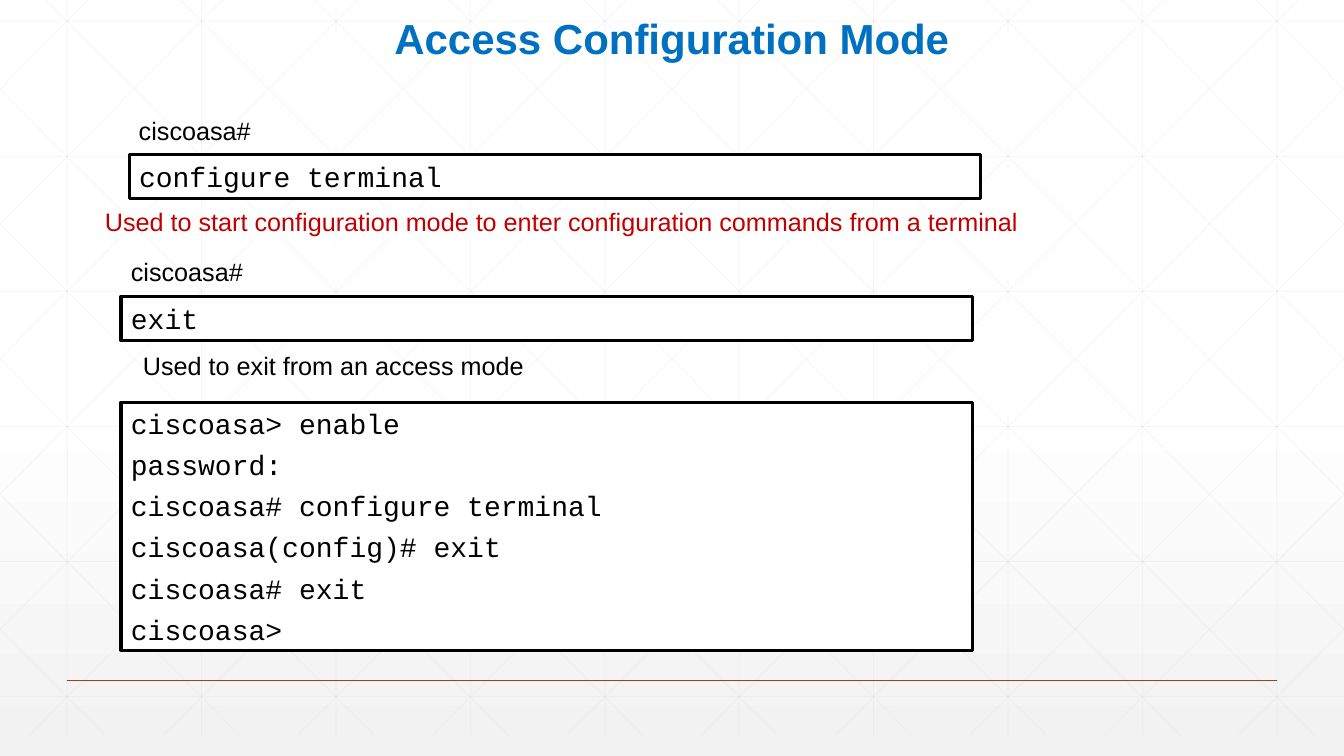
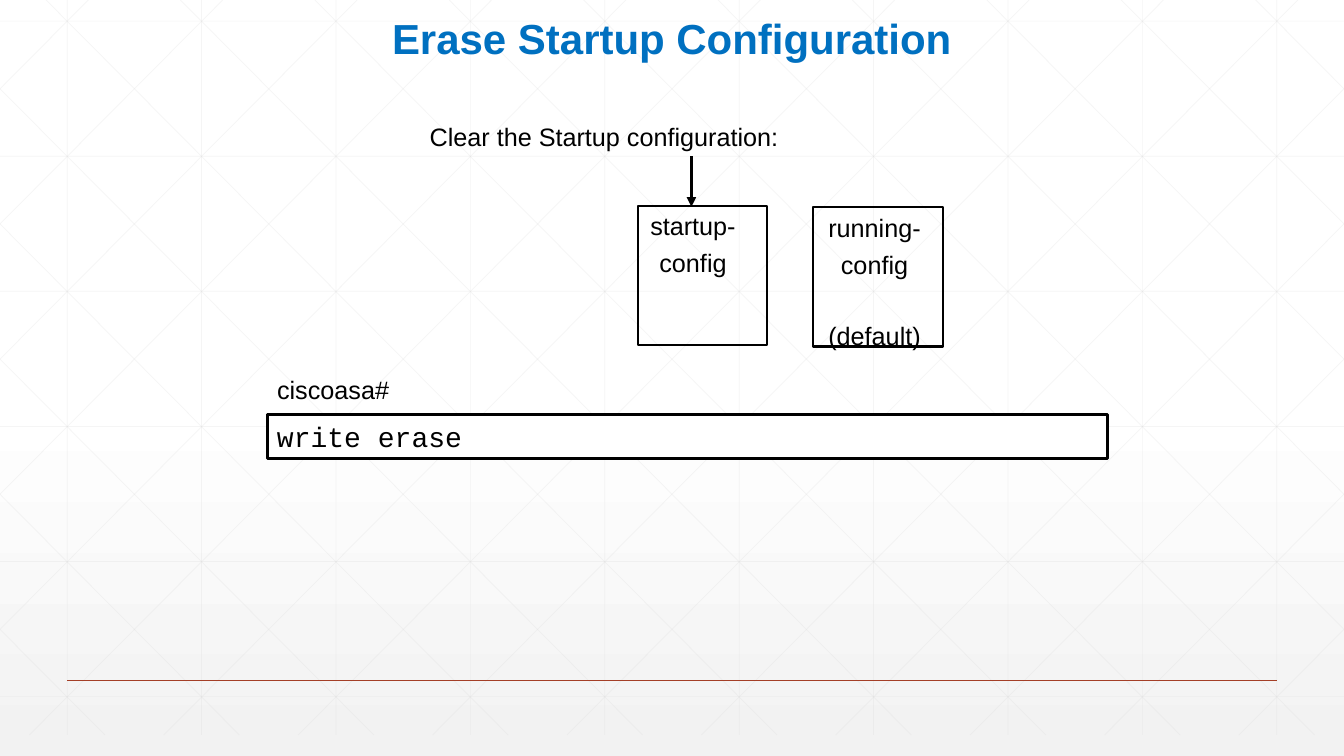
from pptx import Presentation
from pptx.dml.color import RGBColor
from pptx.enum.shapes import MSO_CONNECTOR, MSO_SHAPE
from pptx.enum.text import MSO_ANCHOR, PP_ALIGN
from pptx.oxml.ns import qn
from pptx.util import Pt
from lxml.etree import SubElement
from copy import deepcopy

W, H = 960, 540
BLACK, WHITE, BLUE, RED = "000000", "FFFFFF", "0070C0", "C00000"
GRID, RULE, SHADE = "D9D9D9", "A43F27", "F2F2F2"
SANS, MONO = "Arial", "Courier New"

SLIDES = [
    {
        "title": "Access Configuration Mode",
        "labels": [
            ("ciscoasa#", 92, 78.5, 110, BLACK),
            ("Used to start configuration mode to enter configuration commands from a terminal",
             67.8, 144, 688, RED),
            ("ciscoasa#", 86.4, 179.3, 110, BLACK),
            ("Used to exit from an access mode", 95, 247, 472, BLACK),
        ],
        "commands": [
            (["configure terminal"], 92.2, 110.2, 608, 31.7),
            (["exit"], 86.4, 211.7, 608, 31.7),
            (["ciscoasa> enable", "password:", "ciscoasa# configure terminal",
              "ciscoasa(config)# exit", "ciscoasa# exit", "ciscoasa>"],
             86.4, 287.3, 608, 177.1),
        ],
        "configs": [],
        "arrows": [],
    },
    {
        "title": "Erase Startup Configuration",
        "labels": [
            ("Clear the Startup configuration:", 299.8, 83, 300, BLACK),
            ("ciscoasa#", 190.8, 264, 110, BLACK),
        ],
        "commands": [(["write erase"], 190.8, 295.9, 600.5, 31.7)],
        "configs": [
            ([("startup-", 0), ("config", 4.5)], 455.8, 146.9, 16),
            ([("running-", 0), ("config", 4.5), ("(default)", 29.7)], 581, 148.1, 7),
        ],
        "arrows": [(493.9, 111.6, 493.9, 147.6)],
    },
]


def rgb(value):
    return RGBColor.from_string(value)


def line(shapes, x1, y1, x2, y2, color, width, alpha=None, arrow=False):
    c = shapes.add_connector(MSO_CONNECTOR.STRAIGHT, Pt(x1), Pt(y1), Pt(x2), Pt(y2))
    c.line.color.rgb = rgb(color)
    c.line.width = Pt(width)
    ln = c.line._get_or_add_ln()
    if alpha:
        SubElement(ln.find(".//" + qn("a:srgbClr")), qn("a:alpha"), val=str(alpha * 1000))
    if arrow:
        SubElement(ln, qn("a:tailEnd"), type="triangle")
    SubElement(c.element.spPr, qn("a:effectLst"))


def write(sp, paras, size, font, color, bold=False, align=PP_ALIGN.LEFT,
          anchor=MSO_ANCHOR.TOP, insets=(7.2, 3.6, 7.2, 3.6), spacing=None):
    tf = sp.text_frame
    tf.word_wrap = True
    tf.vertical_anchor = anchor
    tf.margin_left, tf.margin_top, tf.margin_right, tf.margin_bottom = map(Pt, insets)
    for i, (text, gap) in enumerate(paras):
        p = tf.paragraphs[0] if i == 0 else tf.add_paragraph()
        p.text = text
        p.alignment = align
        if gap:
            p.space_before = Pt(gap)
        if spacing:
            p.line_spacing = spacing
        p.font.size = Pt(size)
        p.font.name = font
        p.font.bold = bold
        p.font.color.rgb = rgb(color)


def text_box(s, left, top, width, height):
    return s.shapes.add_textbox(Pt(left), Pt(top), Pt(width), Pt(height))


def rect(s, left, top, width, height, border, fill=None):
    sp = s.shapes.add_shape(MSO_SHAPE.RECTANGLE, Pt(left), Pt(top), Pt(width), Pt(height))
    sp.shadow.inherit = False
    if fill:
        sp.fill.solid()
        sp.fill.fore_color.rgb = rgb(fill)
    else:
        sp.fill.background()
    sp.line.color.rgb = rgb(BLACK)
    sp.line.width = Pt(border)
    return sp


def draw_grid(shapes):
    pitch, bottom, run, rise = 96, 525, 537, 540
    lines = [(48 + pitch * i, 0, 48 + pitch * i, bottom) for i in range(10)]
    lines += [(0, 15.1 + 96.5 * i, W, 15.1 + 96.5 * i) for i in range(6)]
    for i in range(-5, 10):
        x = 18 + pitch * i
        start = max((rise - bottom) / rise, -x / run)
        end = min(1, (W - x) / run)
        x1, x2 = x + run * start, x + run * end
        y1, y2 = (bottom - rise + rise * t for t in (start, end))
        lines += [(x1, y1, x2, y2), (W - x1, y1, W - x2, y2)]
    for ends in lines:
        line(shapes, *ends, GRID, 0.5, alpha=25)


def set_master(master, s):
    fill = master.background.fill
    fill.gradient()
    fill.gradient_angle = 270
    stops = fill._fill._gradFill.find(qn("a:gsLst"))
    model = deepcopy(stops[0])
    for child in list(stops):
        stops.remove(child)
    for pos, color in ((0, WHITE), (53, WHITE), (100, SHADE)):
        stop = deepcopy(model)
        for child in list(stop):
            stop.remove(child)
        stop.set("pos", str(pos * 1000))
        SubElement(stop, qn("a:srgbClr"), val=color)
        stops.append(stop)
    group = s.shapes.add_group_shape()
    draw_grid(group.shapes)
    line(group.shapes, 48, 486, 912, 486, RULE, 1)
    for i, props in enumerate(group.element.iter(qn("p:cNvPr"))):
        props.set("id", str(100 + i))
    master.shapes.element.insert(2, group.element)


def build(s, data):
    write(text_box(s, 0, 0, W, 49), [(data["title"], 0)], 30, SANS, BLUE, bold=True,
          align=PP_ALIGN.CENTER, anchor=MSO_ANCHOR.BOTTOM, spacing=0.9)
    for text, left, top, width, color in data["labels"]:
        write(text_box(s, left, top, width, 28.8), [(text, 0)], 18, SANS, color)
    for rows, left, top, width, height in data["commands"]:
        paras = [(row, 5.4 if i else 0) for i, row in enumerate(rows)]
        write(rect(s, left, top, width, height, 2.25, WHITE), paras, 20, MONO, BLACK,
              anchor=MSO_ANCHOR.MIDDLE)
    for paras, left, top, inset in data["configs"]:
        write(rect(s, left, top, 92.4, 99.4, 1.5), paras, 18, SANS, BLACK,
              align=PP_ALIGN.CENTER, insets=(2, 3.6, inset, 0))
    for ends in data["arrows"]:
        line(s.shapes, *ends, BLACK, 2.25, arrow=True)


def main():
    prs = Presentation()
    prs.slide_width, prs.slide_height = Pt(W), Pt(H)
    for i, data in enumerate(SLIDES):
        s = prs.slides.add_slide(prs.slide_layouts[6])
        if i == 0:
            set_master(prs.slide_master, s)
        build(s, data)
    prs.save("out.pptx")


if __name__ == "__main__":
    main()
